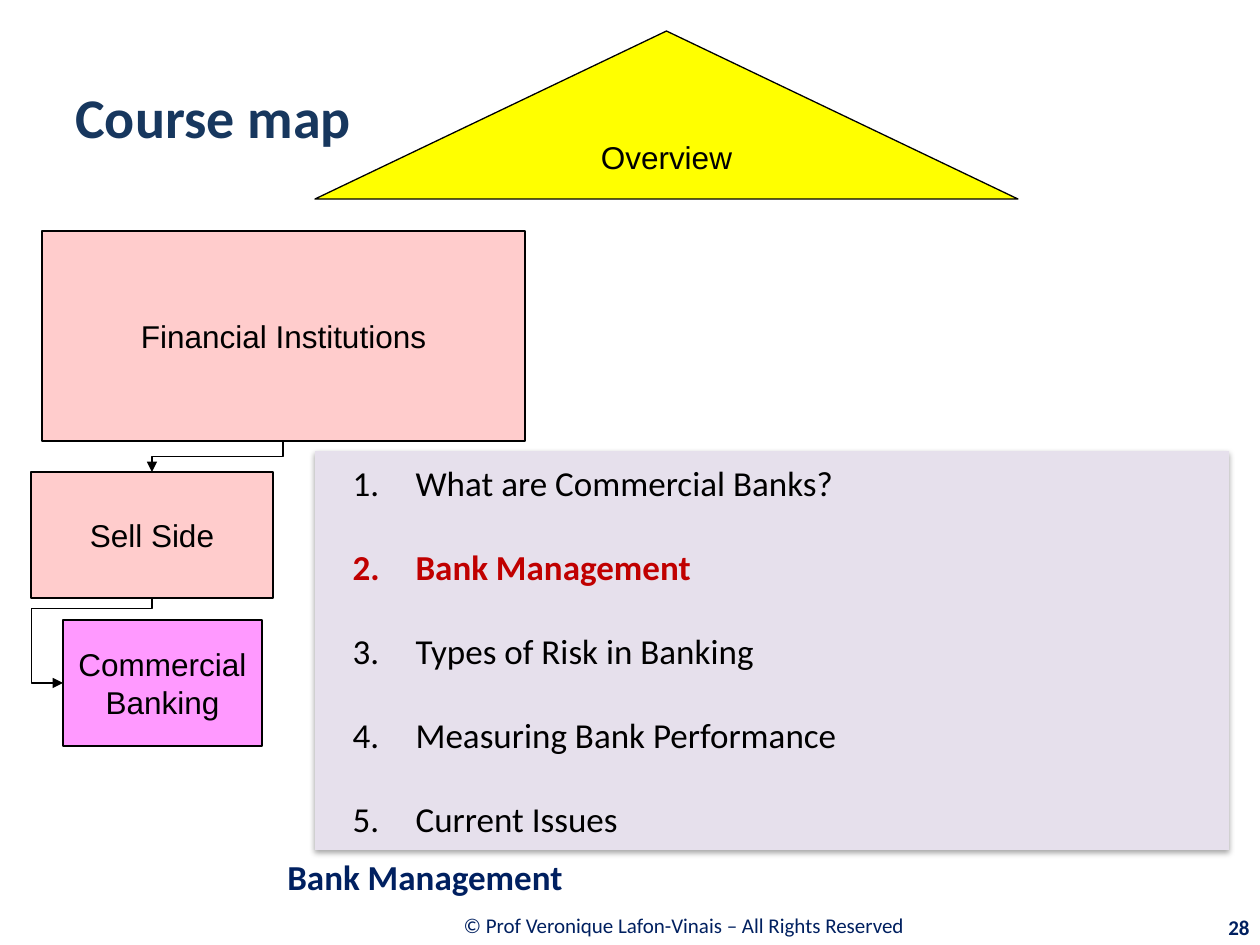
import pptx
import pptx.util
import pptx.dml.color
import pptx.enum.shapes
import pptx.enum.text
import pptx.oxml
import pptx.oxml.ns
from lxml import etree

COLORS = {
    "black": "000000",
    "navy": "002060",
    "title": "17375E",
    "pink": "FFCCCC",
    "magenta": "FF99FF",
    "yellow": "FFFF00",
    "lavender": "E6E0EC",
    "red": "C00000",
}
PX_PER_INCH = 126
SHAPES = pptx.enum.shapes.MSO_SHAPE
ALIGN = pptx.enum.text.PP_ALIGN
MIDDLE = pptx.enum.text.MSO_ANCHOR.MIDDLE


def px(value):
    return pptx.util.Emu(round(value * 914400 / PX_PER_INCH))


def color(name):
    return pptx.dml.color.RGBColor.from_string(COLORS[name])


def add_xml(parent, tag, **attributes):
    element = etree.SubElement(parent, pptx.oxml.ns.qn(tag))
    for key, value in attributes.items():
        element.set(key, str(value))
    return element


class SlideBuilder:
    box_font = "Arial"
    text_font = "Calibri"
    line_width = pptx.util.Pt(0.75)

    def __init__(self, slide):
        self.slide = slide

    def style(self, paragraph, font, size, color_name, bold=False, align=None):
        paragraph.font.name = font
        paragraph.font.size = pptx.util.Pt(size)
        paragraph.font.bold = bold
        paragraph.font.color.rgb = color(color_name)
        paragraph.alignment = align

    def text(self, wording, left, top, width, height, size, color_name="navy",
             bold=True, align=ALIGN.LEFT):
        shape = self.slide.shapes.add_textbox(px(left), px(top), px(width), px(height))
        frame = shape.text_frame
        frame.word_wrap = True
        frame.vertical_anchor = MIDDLE
        frame.text = wording
        self.style(frame.paragraphs[0], self.text_font, size, color_name, bold, align)

    def filled(self, kind, left, top, width, height, fill):
        shape = self.slide.shapes.add_shape(kind, px(left), px(top), px(width), px(height))
        shape.shadow.inherit = False
        shape.fill.solid()
        shape.fill.fore_color.rgb = color(fill)
        shape.text_frame.vertical_anchor = MIDDLE
        return shape

    def box(self, wording, left, top, width, height, fill, kind=SHAPES.RECTANGLE, wrap=False):
        shape = self.filled(kind, left, top, width, height, fill)
        shape.line.color.rgb = color("black")
        shape.line.width = self.line_width
        shape.text_frame.word_wrap = wrap
        shape.text_frame.text = wording
        self.style(shape.text_frame.paragraphs[0], self.box_font, 18, "black", align=ALIGN.CENTER)

    def elbow_down(self, start, end, preset, *adjustments):
        """Bent arrow leaving downwards and ending lower left, as a quarter-turned connector."""
        center_x, center_y = (start[0] + end[0]) / 2, (start[1] + end[1]) / 2
        half_width, half_height = (end[1] - start[1]) / 2, (start[0] - end[0]) / 2
        connector = self.slide.shapes.add_connector(
            pptx.enum.shapes.MSO_CONNECTOR.ELBOW,
            px(center_x - half_width), px(center_y - half_height),
            px(center_x + half_width), px(center_y + half_height))
        connector.line.color.rgb = color("black")
        connector.line.width = self.line_width
        properties = connector._element.spPr
        properties.find(pptx.oxml.ns.qn("a:xfrm")).set("rot", "5400000")
        geometry = properties.find(pptx.oxml.ns.qn("a:prstGeom"))
        geometry.set("prst", preset)
        guides = geometry.find(pptx.oxml.ns.qn("a:avLst"))
        for number, value in enumerate(adjustments, 1):
            add_xml(guides, "a:gd", name=f"adj{number}", fmla=f"val {round(value * 100000)}")
        add_xml(connector.line._get_or_add_ln(), "a:tailEnd", type="triangle")
        add_xml(properties, "a:effectLst")

    def numbered_panel(self, items, current, left, top, width, height, fill):
        shape = self.filled(SHAPES.RECTANGLE, left, top, width, height, fill)
        shape.line.fill.background()
        # Soft shadow below the panel
        effects = shape._element.spPr.find(pptx.oxml.ns.qn("a:effectLst"))
        shadow = add_xml(effects, "a:outerShdw", blurRad=pptx.util.Pt(3.1),
                         dist=pptx.util.Pt(1.8), dir=5400000, rotWithShape=0)
        shade = add_xml(shadow, "a:srgbClr", val=COLORS["black"])
        add_xml(shade, "a:alpha", val=35000)
        # Numbered items
        frame = shape.text_frame
        frame.word_wrap = True
        for index, item in enumerate(items):
            paragraph = frame.add_paragraph() if index else frame.paragraphs[0]
            paragraph.text = item
            active = item == current
            self.style(paragraph, self.text_font, 20, "red" if active else "black",
                       active, ALIGN.LEFT)
            if index:
                paragraph.line_spacing = 2.0
            properties = paragraph._p.get_or_add_pPr()
            properties.set("marL", str(pptx.util.Inches(0.7)))
            properties.set("indent", str(pptx.util.Inches(-0.5)))
            bullet = add_xml(properties, "a:buAutoNum", type="arabicPeriod")
            properties.find(pptx.oxml.ns.qn("a:defRPr")).addprevious(bullet)


def main():
    presentation = pptx.Presentation()
    presentation.slide_width = px(1260)
    presentation.slide_height = px(945)
    builder = SlideBuilder(presentation.slides.add_slide(presentation.slide_layouts[6]))

    # Footer and title
    builder.text("© Prof Veronique Lafon-Vinais – All Rights Reserved",
                 276, 901, 816, 49, 12, bold=False, align=ALIGN.CENTER)
    builder.text("Course map", 63, 38, 1134, 157, 32, "title")
    builder.text("28", 1135, 907, 127, 40, 12, align=ALIGN.RIGHT)

    # Course hierarchy
    builder.box("Sell Side", 31, 472, 242, 126, "pink")
    builder.elbow_down((283, 441), (152, 472), "bentConnector3", 0.5)
    builder.box("Commercial Banking", 63, 620, 199, 126, "magenta", wrap=True)
    builder.elbow_down((152, 598), (63, 683), "bentConnector4", 0.125, 1.353)
    builder.box("Financial Institutions", 42, 231, 483, 210, "pink")
    builder.box("Overview", 315, 31, 703, 168, "yellow", SHAPES.FLOWCHART_EXTRACT)

    # Topics of the current part
    topics = ["What are Commercial Banks?", "Bank Management", "Types of Risk in Banking",
              "Measuring Bank Performance", "Current Issues"]
    builder.numbered_panel(topics, "Bank Management", 315, 451, 914, 399, "lavender")
    builder.text("Bank Management", 275, 847, 985, 59, 20)

    presentation.save("out.pptx")


if __name__ == "__main__":
    main()
